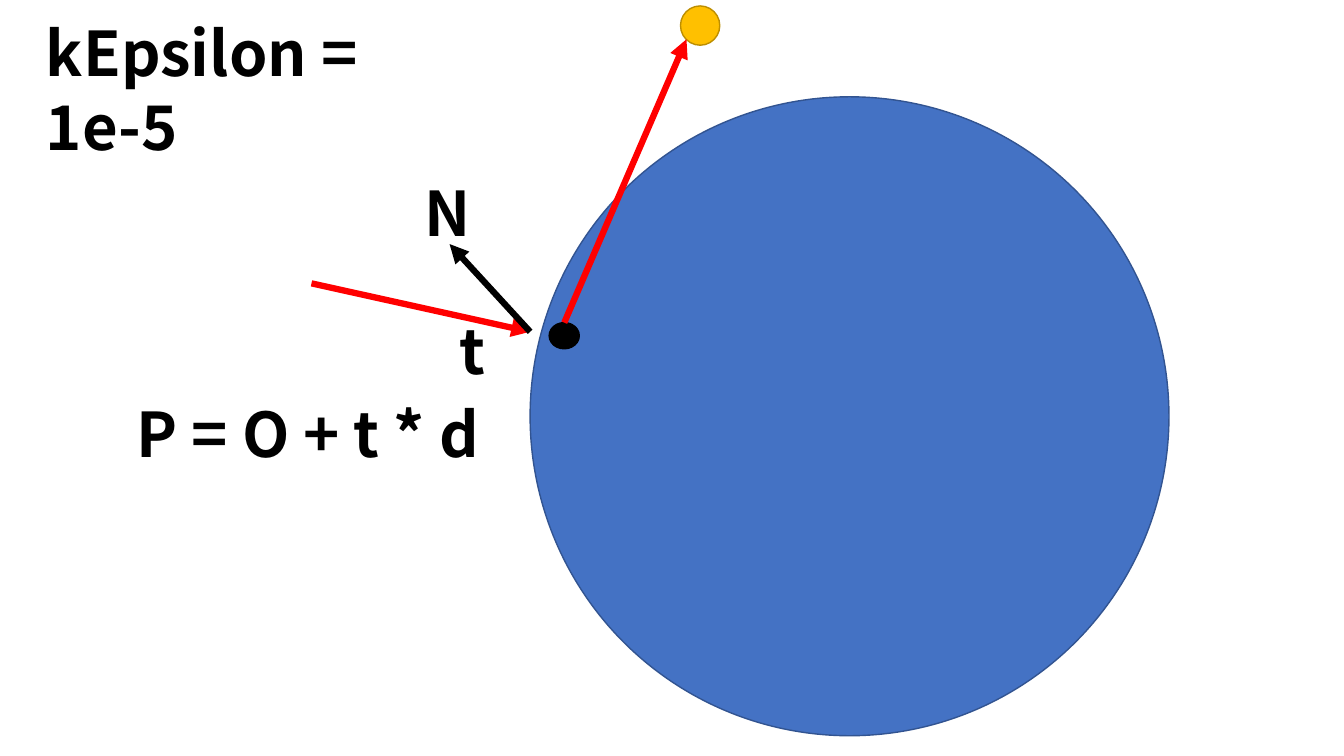
from lxml.etree import SubElement
from pptx import Presentation
from pptx.dml.color import RGBColor
from pptx.enum.shapes import MSO_CONNECTOR, MSO_SHAPE
from pptx.enum.text import MSO_AUTO_SIZE
from pptx.oxml.ns import qn
from pptx.util import Cm, Pt

COLORS = {
    "ray": "FF0000",
    "ink": "000000",
    "sphere": "4472C4",
    "sphere_edge": "325491",
    "light": "FFC000",
    "light_edge": "BD8E00",
}


class Diagram:
    font = "Noto Sans CJK SC"
    text_size = Pt(44)
    arrow_width = Pt(4.5)
    outline_width = Pt(1)

    def __init__(self, slide):
        self.shapes = slide.shapes

    def color(self, name):
        return RGBColor.from_string(COLORS[name])

    def arrow(self, start, end, color):
        ray = self.shapes.add_connector(
            MSO_CONNECTOR.STRAIGHT, *(Cm(v) for v in start + end))
        ray.line.color.rgb = self.color(color)
        ray.line.width = self.arrow_width
        properties = ray._element.spPr
        SubElement(properties.find(qn("a:ln")), qn("a:tailEnd"), type="triangle")
        SubElement(properties, qn("a:effectLst"))

    def ellipse(self, left, top, width, height, fill, edge):
        ball = self.shapes.add_shape(
            MSO_SHAPE.OVAL, Cm(left), Cm(top), Cm(width), Cm(height))
        ball.shadow.inherit = False
        ball.fill.solid()
        ball.fill.fore_color.rgb = self.color(fill)
        ball.line.color.rgb = self.color(edge)
        ball.line.width = self.outline_width

    def label(self, text, left, top, width, wrap=False):
        frame = self.shapes.add_textbox(
            Cm(left), Cm(top), Cm(width), Cm(2.14)).text_frame
        frame.word_wrap = wrap
        frame.auto_size = MSO_AUTO_SIZE.SHAPE_TO_FIT_TEXT
        frame.text = text
        font = frame.paragraphs[0].runs[0].font
        font.name = self.font
        font.size = self.text_size
        font.bold = True
        font.color.rgb = self.color("ink")


def main():
    deck = Presentation()
    deck.slide_width, deck.slide_height = Cm(33.87), Cm(19.05)
    diagram = Diagram(deck.slides.add_slide(deck.slide_layouts[6]))

    hit = (13.36, 8.36)
    diagram.arrow((7.85, 7.14), hit, "ray")
    diagram.arrow(hit, (11.33, 6.15), "ink")
    diagram.label("N", 10.46, 4.29, 1.73)

    diagram.ellipse(13.36, 2.44, 16.1, 16.1, "sphere", "sphere_edge")
    diagram.ellipse(13.84, 8.13, 0.76, 0.66, "ink", "ink")
    diagram.label("t", 11.33, 7.75, 1.07)
    diagram.label("P = O + t * d", 3.2, 9.86, 9.58)

    diagram.ellipse(17.15, 0.15, 0.99, 0.99, "light", "light_edge")
    diagram.arrow((14.22, 8.13), (17.3, 0.99), "ray")
    diagram.label("kEpsilon = 1e-5", 0.91, 0.25, 11.73, wrap=True)

    deck.save("out.pptx")


if __name__ == "__main__":
    main()
